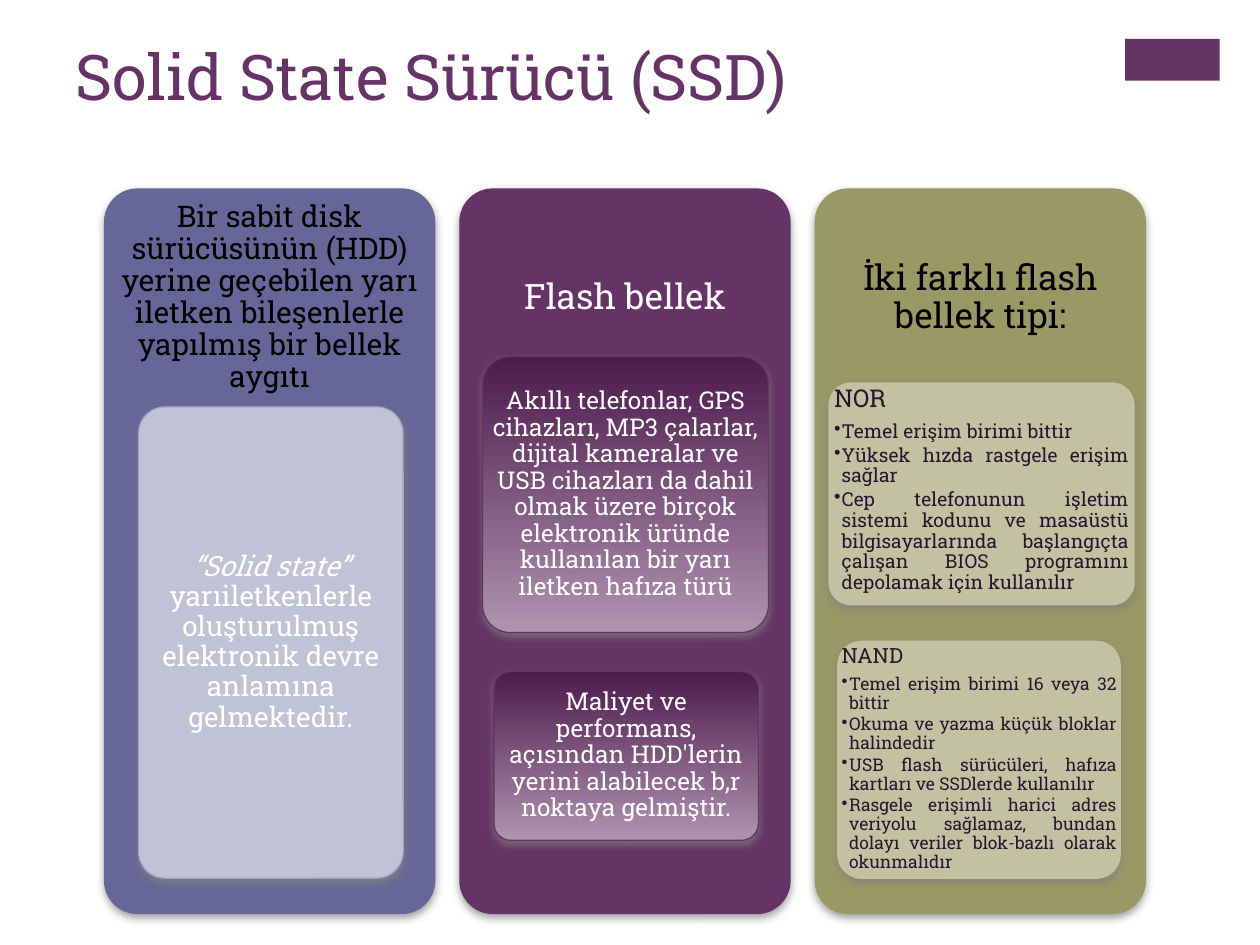
from lxml.etree import SubElement as Sub
from pptx import Presentation
from pptx.dml.color import RGBColor as RGB
from pptx.enum.shapes import MSO_SHAPE as Kind
from pptx.enum.text import MSO_ANCHOR as Anchor, MSO_AUTO_SIZE as Fit, PP_ALIGN as Align
from pptx.oxml.ns import qn
from pptx.util import Inches, Pt

FONT = "Roboto Slab"
PLUM = RGB(0x66, 0x33, 0x66)
BLUE = RGB(0x66, 0x66, 0x99)
OLIVE = RGB(0x99, 0x99, 0x66)
LILAC = RGB(0xC2, 0xC2, 0xD6)
EDGE = RGB(0xA3, 0xA3, 0xC2)
SAND = RGB(0xC2, 0xC2, 0xA3)
DARK = RGB(0x4D, 0x1A, 0x4D)
PALE = RGB(0xAF, 0x94, 0xAF)
INK = RGB(0x2B, 0x14, 0x2D)
BLACK = RGB(0, 0, 0)
WHITE = RGB(0xFF, 0xFF, 0xFF)

# Columns: equal width and equal pitch
LEFT, TOP, WIDE, TALL, STEP, HEAD = 0.83, 1.5, 2.62, 5.75, 2.82, 1.73

NOR = [
    "Temel erişim birimi bittir",
    "Yüksek hızda rastgele erişim sağlar",
    "Cep telefonunun işletim sistemi kodunu ve masaüstü bilgisayarlarında "
    "başlangıçta çalışan BIOS programını depolamak için kullanılır",
]
NAND = [
    "Temel erişim birimi 16 veya 32 bittir",
    "Okuma ve yazma küçük bloklar halindedir",
    "USB flash sürücüleri, hafıza kartları ve SSDlerde kullanılır",
    "Rasgele erişimli harici adres veriyolu sağlamaz, bundan dolayı veriler "
    "blok-bazlı olarak okunmalıdır",
]


def add_run(para, text, size, color, slant=False):
    run = para.add_run()
    run.text = text
    font = run.font
    font.name, font.size, font.italic = FONT, Pt(size), slant
    font.color.rgb = color


def add_shade(shape):
    shape.shadow.inherit = False
    effects = shape._element.spPr.find(qn("a:effectLst"))
    shade = Sub(effects, qn("a:outerShdw"), blurRad=str(Pt(5)), dist=str(Pt(2)),
                dir="5400000", rotWithShape="0")
    tint = Sub(shade, qn("a:srgbClr"), val="808080")
    Sub(tint, qn("a:alpha"), val="75000")


def add_card(slide, box, fill, line):
    """Rounded card; a list of two colours gives a top-to-bottom gradient."""
    card = slide.shapes.add_shape(Kind.ROUNDED_RECTANGLE, *map(Inches, box))
    card.adjustments[0] = 0.1
    if isinstance(fill, list):
        card.fill.gradient()
        card.fill.gradient_angle = 270
        for stop, color in zip(card.fill.gradient_stops, fill):
            stop.color.rgb = color
    else:
        card.fill.solid()
        card.fill.fore_color.rgb = fill
    card.line.color.rgb = line
    card.line.width = Pt(0.75)
    add_shade(card)


def add_frame(slide, box, pad, anchor):
    frame = slide.shapes.add_textbox(*map(Inches, box)).text_frame
    frame.word_wrap = True
    frame.vertical_anchor = anchor
    frame.margin_left = frame.margin_right = Inches(pad[0])
    frame.margin_top = frame.margin_bottom = Inches(pad[1])
    return frame


def set_para(para, align, after):
    para.alignment = align
    para.line_spacing = 0.9
    para.space_after = Pt(after)


def add_label(slide, box, pad, size, color, text, lead=""):
    """Centred text, with an optional italic lead."""
    para = add_frame(slide, box, pad, Anchor.MIDDLE).paragraphs[0]
    set_para(para, Align.CENTER, round(0.35 * size, 1))
    if lead:
        add_run(para, lead, size, color, True)
    add_run(para, text, size, color)


def add_list(slide, box, pad, name, items, big, small):
    """Heading with justified bullets below."""
    frame = add_frame(slide, box, pad, Anchor.TOP)
    para = frame.paragraphs[0]
    set_para(para, Align.JUSTIFY, round(0.35 * big, 1))
    add_run(para, name, big, INK)
    for item in items:
        para = frame.add_paragraph()
        para.level = 1
        set_para(para, Align.JUSTIFY, round(0.15 * small, 1))
        props = para._p.get_or_add_pPr()
        props.set("marL", str(Inches(0.06)))
        props.set("indent", str(Inches(-0.06)))
        Sub(props, qn("a:buChar"), char="•")
        add_run(para, item, small, INK)


def add_title(slide, text):
    title = slide.shapes.title
    title.left, title.top = Inches(0.5), Inches(0.25)
    title.width, title.height = Inches(8.26), Inches(0.97)
    frame = title.text_frame
    frame.auto_size = Fit.NONE
    frame.vertical_anchor = Anchor.TOP
    para = frame.paragraphs[0]
    para.alignment = Align.LEFT
    add_run(para, text, 36, PLUM)


def add_tab(slide):
    tab = slide.shapes.add_shape(Kind.RECTANGLE, *map(Inches, (8.93, 0.31, 0.75, 0.33)))
    tab.fill.solid()
    tab.fill.fore_color.rgb = PLUM
    tab.line.fill.background()
    tab.shadow.inherit = False


def main():
    deck = Presentation()
    deck.slide_width, deck.slide_height = Inches(10), Inches(7.5)
    slide = deck.slides.add_slide(deck.slide_layouts[5])
    add_tab(slide)
    add_title(slide, "Solid State Sürücü (SSD)")

    # Columns and their headings
    heads = [
        (BLUE, BLACK, 17, 0.07, "Bir sabit disk sürücüsünün (HDD) yerine geçebilen yarı "
         "iletken bileşenlerle yapılmış bir bellek aygıtı"),
        (PLUM, WHITE, 20, 0.08, "Flash bellek"),
        (OLIVE, BLACK, 20, 0.08, "İki farklı flash bellek tipi:"),
    ]
    for col, (fill, color, size, pad, text) in enumerate(heads):
        left = round(LEFT + col * STEP, 2)
        add_card(slide, (left, TOP, WIDE, TALL), fill, fill)
        add_label(slide, (left, TOP, WIDE, HEAD), (pad, pad), size, color, text)

    # Cards with centred text
    blend = [DARK, PALE]
    cards = [
        ((1.1, 3.23, 2.1, 3.74), LILAC, EDGE, 16, "yarıiletkenlerle oluşturulmuş "
         "elektronik devre anlamına gelmektedir.", "“Solid state” "),
        ((3.83, 2.83, 2.27, 2.19), blend, PLUM, 14, "Akıllı telefonlar, GPS cihazları, "
         "MP3 çalarlar, dijital kameralar ve USB cihazları da dahil olmak üzere birçok "
         "elektronik üründe kullanılan bir yarı iletken hafıza türü", ""),
        ((3.92, 5.33, 2.1, 1.34), blend, PLUM, 14, "Maliyet ve performans, açısından "
         "HDD'lerin yerini alabilecek b,r noktaya gelmiştir.", ""),
    ]
    for box, fill, line, size, text, lead in cards:
        add_card(slide, box, fill, line)
        add_label(slide, box, (0.04, 0.03), size, WHITE, text, lead)

    # Cards with bullets
    lists = [
        ((6.58, 3.04, 2.42, 1.76), (0.04, 0.03), "NOR", NOR, 14, 11),
        ((6.65, 5.09, 2.24, 1.88), (0.03, 0.03), "NAND", NAND, 12, 10),
    ]
    for box, *rest in lists:
        add_card(slide, box, SAND, SAND)
        add_list(slide, box, *rest)

    deck.save("out.pptx")


if __name__ == "__main__":
    main()
